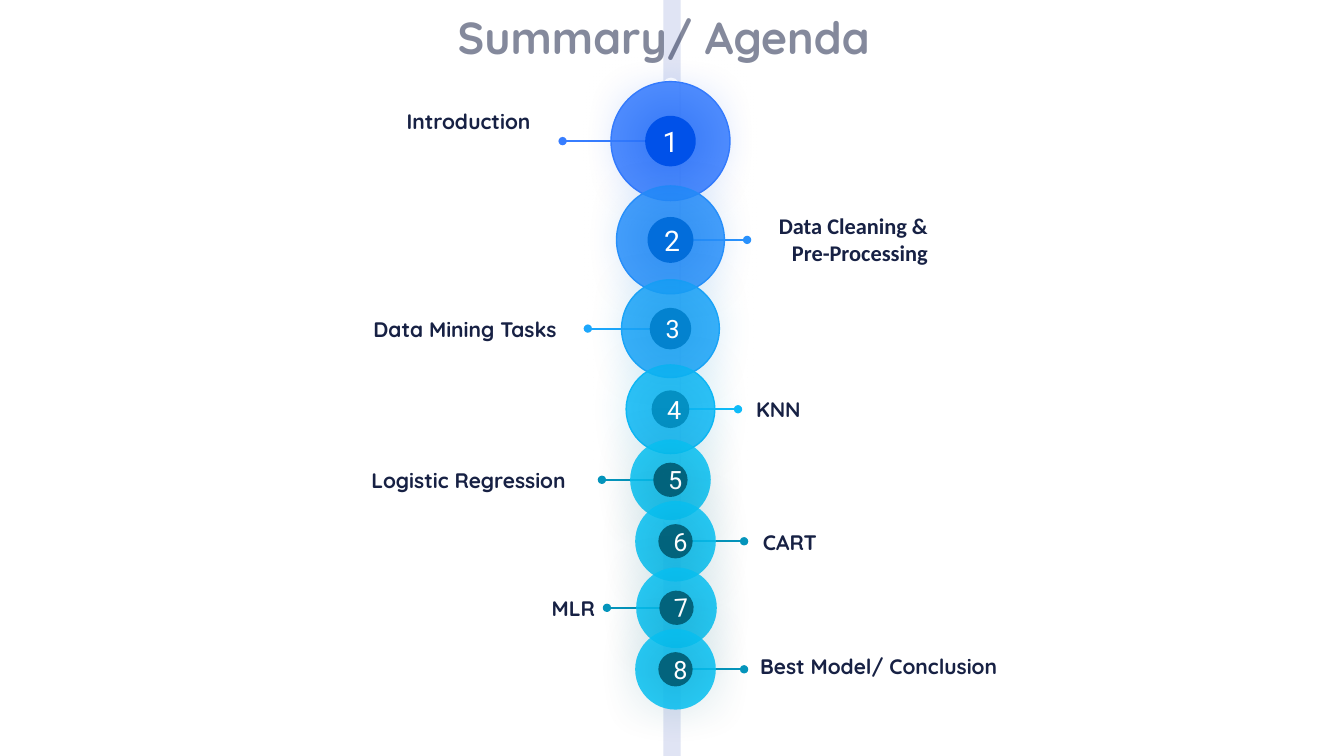
from collections import namedtuple

from lxml import etree
from pptx import Presentation
from pptx import util as u
from pptx.dml.color import RGBColor
from pptx.enum import shapes, text
from pptx.oxml import ns

CELL = u.Inches(0.1)  # side of one square of the layout grid
INK, WHITE = "172144", "FFFFFF"
BADGE_SHARE = 0.425  # badge diameter as a share of its bubble
RIGHT = text.PP_ALIGN.RIGHT

Step = namedtuple("Step", "x y size bubble badge line outlined digit_size end "
                          "label label_box font label_size turn",
                  defaults=("Quicksand", 15, 0))

# Centres, sizes, line ends and label boxes (left, top, width, height) in grid cells
TEAL = ("08C6F9", "03647D", "0595BC", False, 18)
STEPS = [
    Step(66.5, 14, 11.8, "377DFF", "0051E9", "377DFF", True, 20.2, 55.8,
         "Introduction", (36.4, 10.3, 17.2, 3.5)),
    Step(66.5, 23.8, 10.7, "2A92FD", "026DDB", "2A92FD", True, 20.2, 74.1,
         "Data Cleaning & Pre-Processing", (73.8, 20.6, 19.2, 6.4), "Calibri", 16),
    Step(66.5, 32.6, 9.7, "1CA7FC", "0382CF", "1CA7FC", True, 18, 58.3,
         "Data Mining Tasks", (34.2, 30.9, 22, 3.5)),
    Step(66.5, 40.6, 8.8, "0FBCFA", "0490C3", "0FBCFA", True, 18, 73.2,
         "KNN", (73.8, 38.8, 6.6, 3.5)),
    Step(66.5, 47.6, 8, *TEAL, 59.7,
         "Logistic Regression", (31.8, 45.9, 25.3, 3.5)),
    Step(67, 53.7, 8, *TEAL, 73.8,
         "CART", (72.7, 52, 9.3, 3.5)),
    Step(67.1, 60.3, 8, *TEAL, 60.2,
         "MLR", (34.7, 58.6, 25.3, 3.5), turn=-3.6),
    Step(67, 66.4, 8, *TEAL, 73.8,
         "Best Model/ Conclusion", (73.8, 64.3, 26.1, 3.5)),
]


def cells(*values):
    return [round(v * CELL) for v in values]


def color(target, value, alpha=None):
    """Set a hex colour on a fill, line or font, with optional opacity in percent."""
    fill = target if hasattr(target, "solid") else target.fill
    fill.solid()
    fill.fore_color.rgb = RGBColor.from_string(value)
    return fill, alpha


def set_alpha(parent, percent):
    clr = next(parent.iter(ns.qn("a:srgbClr")))
    etree.SubElement(clr, ns.qn("a:alpha"), val=str(percent * 1000))


def write(tf, content, font="Quicksand", size=15, fill=INK, bold=False,
          align=None, alpha=None):
    p = tf.paragraphs[0]
    p.alignment = align
    r = p.add_run()
    r.text = content
    r.font.name, r.font.size, r.font.bold = font, u.Pt(size), bold
    color(r.font, fill)
    if alpha:
        set_alpha(r.font._element, alpha)


def add_label(s, box, content, **style):
    tf = s.shapes.add_textbox(*cells(*box)).text_frame
    tf.word_wrap = True
    tf.auto_size = text.MSO_AUTO_SIZE.SHAPE_TO_FIT_TEXT
    write(tf, content, bold=True, **style)


def add_solid(s, kind, box, fill, alpha=None):
    sp = s.shapes.add_shape(kind, *cells(*box))
    sp.shadow.inherit = False
    color(sp.fill, fill)
    sp.line.fill.background()
    if alpha:
        set_alpha(sp._element.spPr, alpha)
    return sp


def add_bar(s, box, fill):
    add_solid(s, shapes.MSO_SHAPE.ROUNDED_RECTANGLE, box, fill).adjustments[0] = 0.5


def add_circle(s, x, y, size, fill, alpha=None):
    box = (x - size / 2, y - size / 2, size, size)
    return add_solid(s, shapes.MSO_SHAPE.OVAL, box, fill, alpha)


def add_pointer(s, step):
    c = s.shapes.add_connector(shapes.MSO_CONNECTOR.STRAIGHT,
                               *cells(step.x, step.y, step.end, step.y))
    color(c.line, step.line)
    c.line.width = u.Pt(1.5)
    etree.SubElement(c.line._get_or_add_ln(), ns.qn("a:tailEnd"), type="oval")
    etree.SubElement(c._element.spPr, ns.qn("a:effectLst"))


def add_bubble(s, step):
    sp = add_circle(s, step.x, step.y, step.size, step.bubble, alpha=86)
    if step.outlined:
        color(sp.line, step.bubble)
        sp.line.width = u.Pt(1)


def add_badge(s, step):
    sp = add_circle(s, step.x, step.y, step.size * BADGE_SHARE, step.badge)
    sp.rotation = step.turn
    # Soft glow around the badge
    effects = sp._element.spPr.find(ns.qn("a:effectLst"))
    glow = etree.SubElement(effects, ns.qn("a:outerShdw"), blurRad=str(u.Pt(48)),
                            dist="0", dir="0", algn="ctr", rotWithShape="0")
    etree.SubElement(glow, ns.qn("a:srgbClr"), val=step.badge)
    tf = sp.text_frame
    tf.margin_top = tf.margin_bottom = 0
    tf.vertical_anchor = text.MSO_ANCHOR.MIDDLE
    write(tf, str(STEPS.index(step) + 1), font="Roboto", size=step.digit_size,
          fill=WHITE, align=text.PP_ALIGN.CENTER)


def main():
    prs = Presentation()
    prs.slide_width, prs.slide_height = u.Inches(13.33), u.Inches(7.5)
    s = prs.slides.add_slide(prs.slide_layouts[6])

    # Spine and title
    add_bar(s, (65.8, -3.7, 1.7, 82.4), "E0E4F4")
    add_label(s, (44.4, 0.5, 47.2, 6.4), "Summary/ Agenda", size=32, alpha=53)
    add_bar(s, (65.7, 7.7, 1.7, 44.4), WHITE)

    # The large steps are layered together, the small ones one by one
    for batch in [STEPS[:4]] + [[step] for step in STEPS[4:]]:
        for draw in (add_pointer, add_bubble, add_badge):
            for step in batch:
                draw(s, step)

    # Step names
    for step in STEPS:
        add_label(s, step.label_box, step.label, font=step.font,
                  size=step.label_size, align=RIGHT)

    prs.save("out.pptx")


if __name__ == "__main__":
    main()
